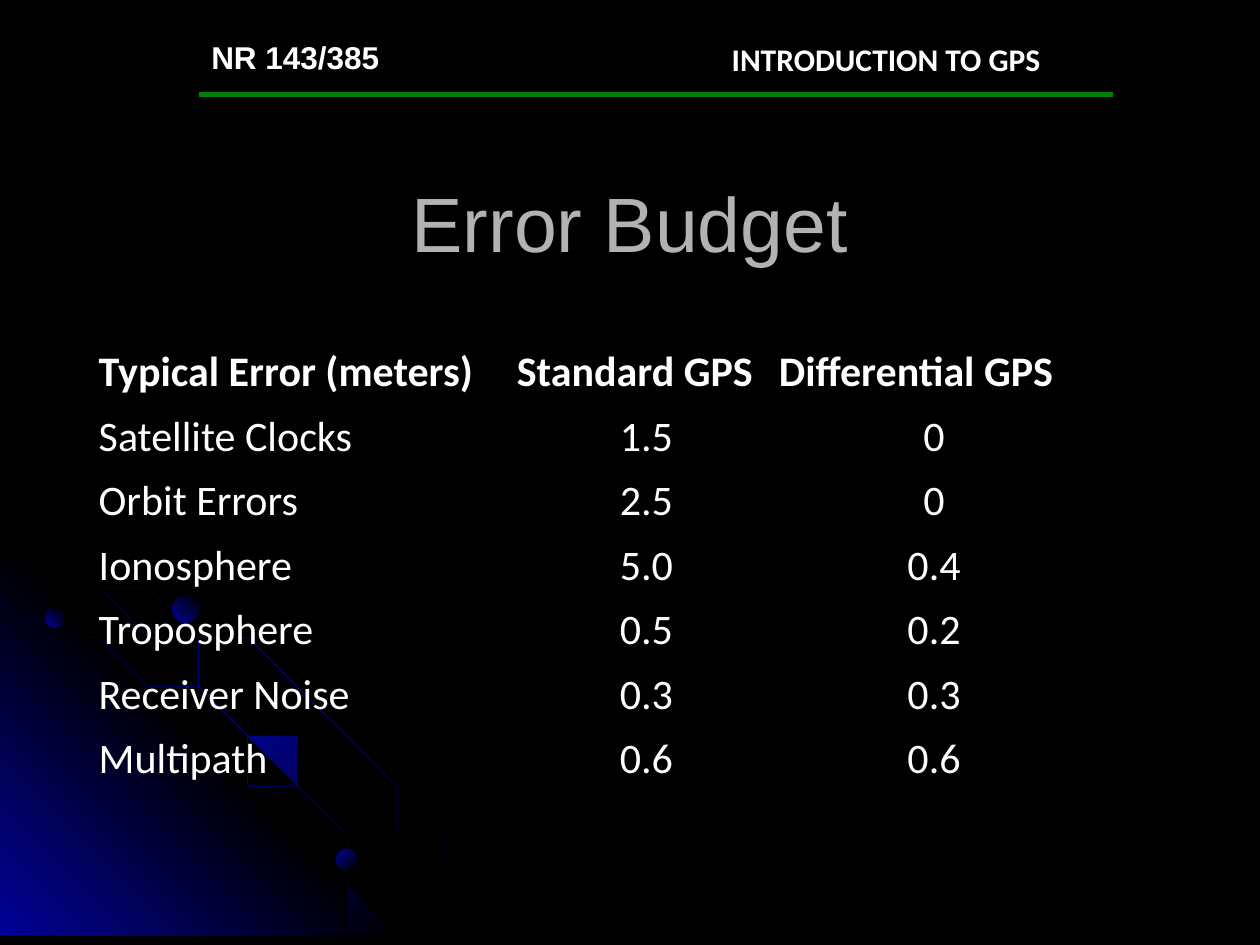
import pptx
import pptx.dml.color
import pptx.enum.shapes
import pptx.enum.text
import pptx.oxml
import pptx.oxml.ns
import pptx.util
from lxml import etree

Cm = pptx.util.Cm
Pt = pptx.util.Pt
RGBColor = pptx.dml.color.RGBColor
ANCHOR = pptx.enum.text.MSO_ANCHOR
ALIGN = pptx.enum.text.PP_ALIGN

BLACK = RGBColor(0x00, 0x00, 0x00)
WHITE = RGBColor(0xFF, 0xFF, 0xFF)
BLUE = RGBColor(0x01, 0x01, 0x99)
GREEN = RGBColor(0x00, 0x80, 0x00)
GRAY = RGBColor(0xB2, 0xB2, 0xB2)

TITLE_FONT = {"name": "Arial", "size": Pt(44), "bold": False}
COURSE_FONT = {"name": "Arial", "size": Pt(18), "bold": True}
TOPIC_FONT = {"name": "Calibri", "size": Pt(18), "bold": True}
HEADING_FONT = {"name": "Calibri", "size": Pt(24), "bold": True}
ENTRY_FONT = {**HEADING_FONT, "bold": False}
CELL_FORMAT = {
    "vertical_anchor": ANCHOR.BOTTOM,
    "margin_left": Cm(0.03), "margin_right": Cm(0.03),
    "margin_top": Cm(0.13), "margin_bottom": Cm(0.13),
}
NO_GRID_STYLE = "{2D5ABB26-0587-4C30-8999-92F81FD0307C}"

ERROR_BUDGET = [
    ("Typical Error (meters)", "Standard GPS", "Differential GPS"),
    ("Satellite Clocks", "1.5", "0"),
    ("Orbit Errors", "2.5", "0"),
    ("Ionosphere", "5.0", "0.4"),
    ("Troposphere", "0.5", "0.2"),
    ("Receiver Noise", "0.3", "0.3"),
    ("Multipath", "0.6", "0.6"),
]
COLUMN_WIDTHS = [8.43, 5.28, 6.32]
ROW_HEIGHT = 1.3

# Orbit edges and satellites, in cm from the corner of the decoration
ORBIT_THICKNESS = 0.04
OUTER_ORBIT = [
    (0, 0.2), (0.71, 0.36), (1.45, 0.51), (2.49, 0.81), (3.45, 1.27),
    (4.42, 1.78), (5.31, 2.39), (6.15, 3.07), (6.91, 3.84), (7.62, 4.67),
    (8.26, 5.61), (8.61, 6.25), (8.94, 6.88), (9.19, 7.52), (9.45, 8.18),
]
INNER_ORBIT = [
    (0, 1.22), (1.04, 1.55), (2.01, 1.98), (2.97, 2.51), (3.86, 3.1),
    (4.67, 3.78), (5.46, 4.55), (6.15, 5.41), (6.76, 6.32), (7.26, 7.24),
    (7.52, 7.7), (7.7, 8.18),
]
MIDDLE_ORBIT = [
    (0, 0.38), (0.99, 0.71), (1.93, 1.17), (2.82, 1.68), (3.66, 2.26),
    (4.45, 2.95), (5.18, 3.71), (5.82, 4.47), (6.45, 5.38), (6.83, 6.05),
    (7.16, 6.76), (7.47, 7.44), (7.7, 8.18),
]
SATELLITES = [(0.91, 1.42, 0.38, 45), (6.78, 6.27, 0.41, 315), (3.48, 1.17, 0.53, 45)]


def set_format(target, values):
    for name, value in values.items():
        setattr(target, name, value)


def write_text(text_frame, text, font_values, color=WHITE, alignment=ALIGN.LEFT):
    paragraph = text_frame.paragraphs[0]
    paragraph.text = text
    paragraph.alignment = alignment
    set_format(paragraph.font, font_values)
    paragraph.font.color.rgb = color


def fill_gradient(shape, colors, angle):
    """Spread the colours evenly; the angle runs counter-clockwise."""
    shape.shadow.inherit = False
    shape.line.fill.background()
    shape.fill.gradient()
    shape.fill.gradient_angle = angle
    stops = shape._element.spPr.find(".//" + pptx.oxml.ns.qn("a:gsLst"))
    for stop in list(stops):
        stops.remove(stop)
    for index, color in enumerate(colors):
        stop = etree.SubElement(stops, pptx.oxml.ns.qn("a:gs"))
        stop.set("pos", str(100000 * index // (len(colors) - 1)))
        etree.SubElement(stop, pptx.oxml.ns.qn("a:srgbClr")).set("val", str(color))


def add_outline(slide, left, top, points, colors, angle):
    builder = slide.shapes.build_freeform(*points[0], scale=Cm(1))
    builder.add_line_segments(points[1:], close=True)
    shape = builder.convert_to_shape(Cm(left), Cm(top))
    fill_gradient(shape, colors, angle)


def add_orbit(slide, left, top, height, edge):
    lower_edge = [
        (max(x - ORBIT_THICKNESS, 0), min(y + ORBIT_THICKNESS, height))
        for x, y in reversed(edge)
    ]
    add_outline(slide, left, top, edge + lower_edge, [BLACK, BLUE, BLACK], 315)


def add_decoration(slide, left, top, height):
    # Glowing corner between the orbits
    add_orbit(slide, left, top, height, OUTER_ORBIT)
    corner = [(0, 0), (height, height), (0, height)]
    add_outline(slide, left, top, corner, [BLUE, BLACK, BLUE], 45)
    for edge in (INNER_ORBIT, MIDDLE_ORBIT):
        add_orbit(slide, left, top, height, edge)

    # Satellites
    for x, y, diameter, angle in SATELLITES:
        satellite = slide.shapes.add_shape(
            pptx.enum.shapes.MSO_SHAPE.OVAL,
            Cm(left + x), Cm(top + y), Cm(diameter), Cm(diameter))
        fill_gradient(satellite, [BLUE, BLACK], angle)


def add_header(slide, left, top, width, height):
    # Course and topic labels
    labels = [
        ("NR 143/385", 0, 0, 3.89, COURSE_FONT),
        ("INTRODUCTION TO GPS", 10.49, 0.05, 7.95, TOPIC_FONT),
    ]
    for text, x, y, label_width, font_values in labels:
        label = slide.shapes.add_textbox(
            Cm(left + x), Cm(top + y), Cm(label_width), Cm(1.02))
        label.text_frame.word_wrap = False
        label.text_frame.auto_size = pptx.enum.text.MSO_AUTO_SIZE.SHAPE_TO_FIT_TEXT
        write_text(label.text_frame, text, font_values)

    # Rule below the labels
    rule = slide.shapes.add_connector(
        pptx.enum.shapes.MSO_CONNECTOR.STRAIGHT,
        Cm(left), Cm(top + height), Cm(left + width), Cm(top + height))
    rule.line.color.rgb = GREEN
    rule.line.width = Pt(3)
    etree.SubElement(rule._element.spPr, pptx.oxml.ns.qn("a:effectLst"))


def place_title(slide, left, top, width, height):
    title = slide.shapes.title
    set_format(title, {"left": Cm(left), "top": Cm(top),
                       "width": Cm(width), "height": Cm(height)})
    title.text_frame.vertical_anchor = ANCHOR.MIDDLE
    write_text(title.text_frame, "Error Budget", TITLE_FONT, GRAY, ALIGN.CENTER)


def add_error_table(slide, left, top):
    frame = slide.shapes.add_table(
        len(ERROR_BUDGET), len(COLUMN_WIDTHS), Cm(left), Cm(top),
        Cm(sum(COLUMN_WIDTHS)), Cm(ROW_HEIGHT * len(ERROR_BUDGET)))
    table = frame.table
    set_format(table, {"first_row": False, "horz_banding": False})
    table._tbl.tblPr.find(pptx.oxml.ns.qn("a:tableStyleId")).text = NO_GRID_STYLE
    for column, width in zip(table.columns, COLUMN_WIDTHS):
        column.width = Cm(width)
    for row_index, entries in enumerate(ERROR_BUDGET):
        table.rows[row_index].height = Cm(ROW_HEIGHT)
        font_values = ENTRY_FONT if row_index else HEADING_FONT
        for column_index, text in enumerate(entries):
            cell = table.cell(row_index, column_index)
            cell.fill.background()
            set_format(cell, CELL_FORMAT)
            is_value = row_index and column_index
            write_text(cell.text_frame, text, font_values,
                       alignment=ALIGN.CENTER if is_value else ALIGN.LEFT)


def main():
    presentation = pptx.Presentation()
    presentation.slide_width = Cm(25.4)
    presentation.slide_height = Cm(19.05)
    slide = presentation.slides.add_slide(presentation.slide_layouts[5])
    slide.background.fill.solid()
    slide.background.fill.fore_color.rgb = BLACK

    add_decoration(slide, 0, 10.85, 8.18)
    add_header(slide, 4.01, 0.64, 18.42, 1.26)
    place_title(slide, 1.27, 2.87, 22.86, 3.18)
    add_error_table(slide, 1.96, 6.86)
    presentation.save("out.pptx")


if __name__ == "__main__":
    main()
